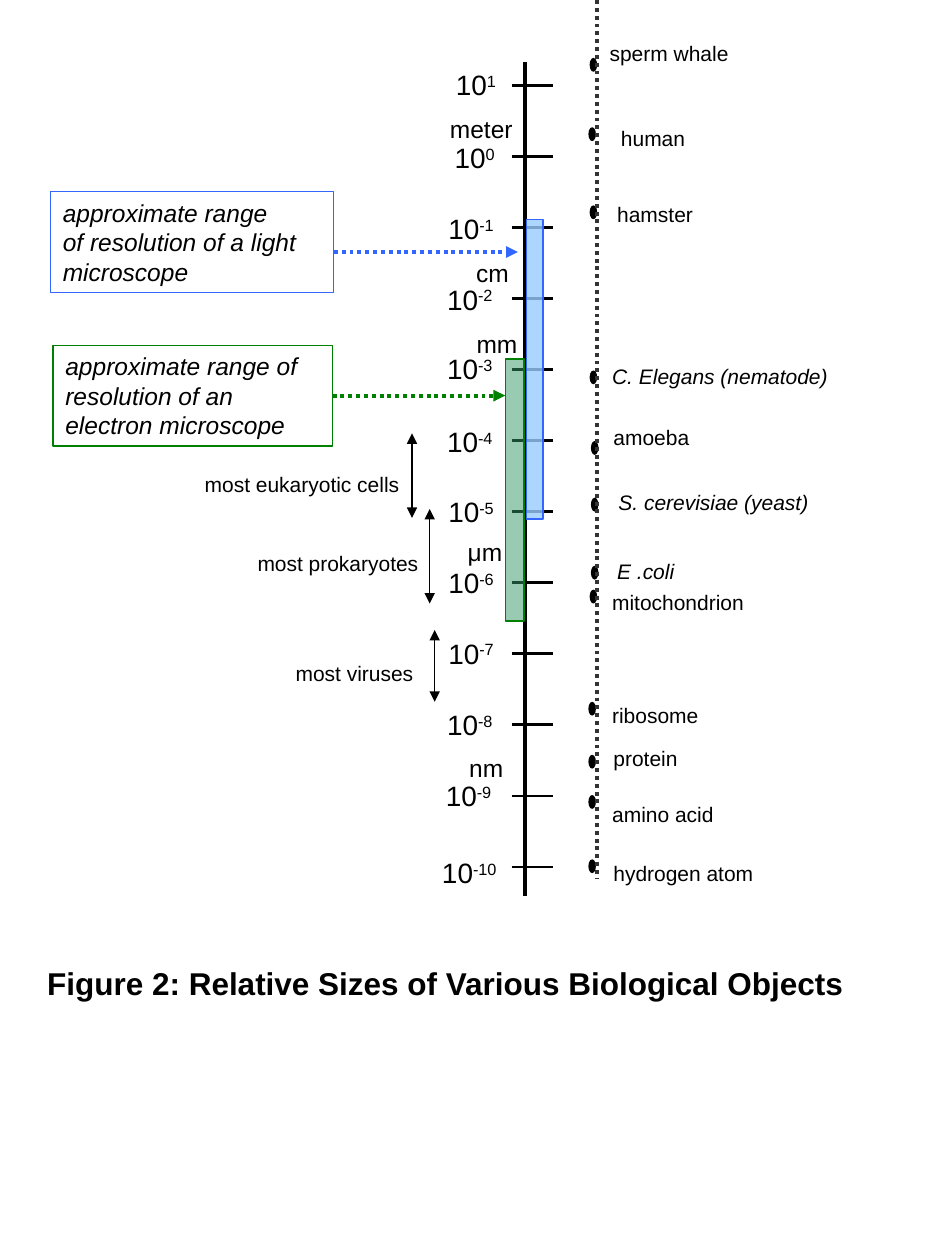
from lxml import etree
from pptx import Presentation
from pptx.dml.color import RGBColor
from pptx.enum.dml import MSO_LINE
from pptx.enum.shapes import MSO_CONNECTOR, MSO_SHAPE
from pptx.enum.text import MSO_ANCHOR, PP_ALIGN
from pptx.oxml.ns import qn
from pptx.util import Inches, Pt

BLACK = RGBColor(0x00, 0x00, 0x00)
GRAY = RGBColor(0x33, 0x33, 0x33)
BLUE = RGBColor(0x33, 0x66, 0xFF)
LIGHT_BLUE = RGBColor(0x99, 0xCC, 0xFF)
GREEN = RGBColor(0x00, 0x80, 0x00)
SEA_GREEN = RGBColor(0x33, 0x99, 0x66)

LEFT, CENTER, RIGHT = PP_ALIGN.LEFT, PP_ALIGN.CENTER, PP_ALIGN.RIGHT
TOP = MSO_ANCHOR.TOP
RECT, OVAL = MSO_SHAPE.RECTANGLE, MSO_SHAPE.OVAL
STRAIGHT = MSO_CONNECTOR.STRAIGHT
DOTS = MSO_LINE.ROUND_DOT

POWERS = [
    (1, 3.52, 0.49), (0, 3.51, 1.07), (-1, 3.46, 1.63), (-2, 3.45, 2.19),
    (-3, 3.45, 2.74), (-4, 3.45, 3.32), (-5, 3.46, 3.88), (-6, 3.46, 4.44),
    (-7, 3.46, 5), (-8, 3.45, 5.57), (-9, 3.44, 6.13), (-10, 3.41, 6.74),
]
UNITS = [
    ("meter", 3.47, 0.86, 0.7), ("cm", 3.66, 2, 0.5), ("mm", 3.66, 2.56, 0.57),
    ("μm", 3.55, 4.21, 0.6), ("nm", 3.56, 5.93, 0.6),
]
OBJECTS = [
    ("sperm whale", 4.74, 0.27, 1.26, 4.68, 0.46, False),
    ("human", 4.83, 0.95, 0.75, 4.67, 1.01, False),
    ("hamster", 4.8, 1.55, 0.85, 4.68, 1.63, False),
    ("C. Elegans (nematode)", 4.76, 2.84, 2.18, 4.68, 2.94, True),
    ("amoeba", 4.77, 3.32, 0.85, 4.69, 3.5, False),
    ("S. cerevisiae (yeast)", 4.81, 3.84, 1.99, 4.69, 3.95, True),
    ("E .coli", 4.8, 4.38, 0.7, 4.69, 4.49, True),
    ("mitochondrion", 4.76, 4.63, 1.3, 4.68, 4.68, False),
    ("ribosome", 4.76, 5.53, 0.93, 4.67, 5.57, False),
    ("protein", 4.77, 5.87, 0.75, 4.67, 5.99, False),
    ("amino acid", 4.76, 6.31, 2.41, 4.67, 6.31, False),
    ("hydrogen atom", 4.77, 6.78, 1.8, 4.67, 6.82, False),
]
SIZE_RANGES = [
    ("most eukaryotic cells", 3.27, 3.69, 2.23, 3.27, 3.44, 4.11),
    ("most prokaryotes", 3.42, 4.32, 1.52, 3.41, 4.04, 4.79),
    ("most viruses", 3.38, 5.19, 1.17, 3.45, 5, 5.57),
]


def format_text(tf, size, align=LEFT, italic=False, bold=False, wrap=True):
    tf.word_wrap = wrap
    tf.vertical_anchor = TOP
    for p in tf.paragraphs:
        p.alignment = align
        p.font.name = "Arial"
        p.font.size = Pt(size)
        p.font.italic = italic
        p.font.bold = bold
        p.font.color.rgb = BLACK


def add_label(s, text, x, y, w, h, size, align=LEFT, italic=False, wrap=True):
    tf = s.shapes.add_textbox(Inches(x), Inches(y), Inches(w), Inches(h)).text_frame
    tf.text = text
    format_text(tf, size, align, italic, wrap=wrap)
    return tf


def add_line(s, x1, y1, x2, y2, color, width, dash=None, arrows=()):
    line = s.shapes.add_connector(STRAIGHT, Inches(x1), Inches(y1), Inches(x2), Inches(y2))
    line.line.color.rgb = color
    line.line.width = Pt(width)
    if dash:
        line.line.dash_style = dash
    ln = line.line._get_or_add_ln()
    for end in arrows:
        etree.SubElement(ln, qn(f"a:{end}"), type="triangle")
    etree.SubElement(line._element.spPr, qn("a:effectLst"))


def add_block(s, kind, x, y, w, h, fill=None, outline=None, opacity=100):
    shape = s.shapes.add_shape(kind, Inches(x), Inches(y), Inches(w), Inches(h))
    shape.shadow.inherit = False
    if fill is None:
        shape.fill.background()
    else:
        shape.fill.solid()
        shape.fill.fore_color.rgb = fill
        if opacity < 100:
            color = shape.fill._xPr.find(qn("a:solidFill"))[0]
            etree.SubElement(color, qn("a:alpha"), val=str(opacity * 1000))
    if outline is None:
        shape.line.fill.background()
    else:
        shape.line.color.rgb = outline
        shape.line.width = Pt(0.75)
    return shape


def add_caption(s, x, y, w, h):
    title = s.shapes.title
    title.left, title.top, title.width, title.height = map(Inches, (x, y, w, h))
    tf = title.text_frame
    tf.text = "Figure 2: Relative Sizes of Various Biological Objects"
    format_text(tf, 18, CENTER, bold=True, wrap=False)


def add_callout(s, text, color, x, y, w, h, arrow_y, arrow_end):
    box = add_block(s, RECT, x, y, w, h, outline=color)
    box.text_frame.text = text
    format_text(box.text_frame, 14, italic=True)
    add_line(s, x + w, arrow_y, arrow_end, arrow_y, color, 2.25, DOTS, ["tailEnd"])


def add_scale(s, x, y, h):
    for power, left, top in POWERS:
        tf = add_label(s, "10", left, top, 0.7 if power == -10 else 0.6, 0.37, 16)
        r = tf.paragraphs[0].add_run()
        r.text = str(power)
        r.font._element.set("baseline", "30000")
    for text, left, top, w in UNITS:
        add_label(s, text, left, top, w, 0.34, 14, CENTER, wrap=False)
    add_line(s, x, y, x, y + h, BLACK, 2.25)
    first, last = 0.68, 6.88
    step = (last - first) / (len(POWERS) - 1)
    for i in range(len(POWERS)):
        tick = first + i * step
        add_line(s, x - 0.11, tick, x + 0.22, tick, BLACK, 1.5)


def add_objects(s, x, y, h):
    for text, left, top, w, dot_x, dot_y, italic in OBJECTS:
        add_block(s, OVAL, dot_x, dot_y, 0.06, 0.11, BLACK)
        add_label(s, text, left, top, w, 0.3, 12, italic=italic)
    add_line(s, x, y, x, y + h, GRAY, 2.25, DOTS)


def add_size_ranges(s):
    for text, right, top, w, x, y1, y2 in SIZE_RANGES:
        add_label(s, text, right - w, top, w, 0.3, 12, RIGHT)
        add_line(s, x, y2, x, y1, BLACK, 0.75, arrows=["headEnd", "tailEnd"])


def main():
    prs = Presentation()
    prs.slide_width, prs.slide_height = Inches(7.5), Inches(10)
    s = prs.slides.add_slide(prs.slide_layouts[5])
    add_caption(s, 0.27, 7.6, 6.53, 0.4)
    add_size_ranges(s)
    add_scale(s, 4.17, 0.49, 6.62)
    add_block(s, RECT, 4.01, 2.85, 0.15, 2.08, SEA_GREEN, GREEN, 50)
    add_block(s, RECT, 4.18, 1.74, 0.13, 2.38, LIGHT_BLUE, BLUE, 80)
    add_objects(s, 4.74, 0, 6.98)
    add_callout(s, "approximate range\nof resolution of a light\nmicroscope",
                BLUE, 0.4, 1.52, 2.25, 0.8, 2, 4.11)
    add_callout(s, "approximate range of resolution of an electron microscope",
                GREEN, 0.42, 2.74, 2.22, 0.8, 3.14, 4.01)
    prs.save("out.pptx")


if __name__ == "__main__":
    main()
